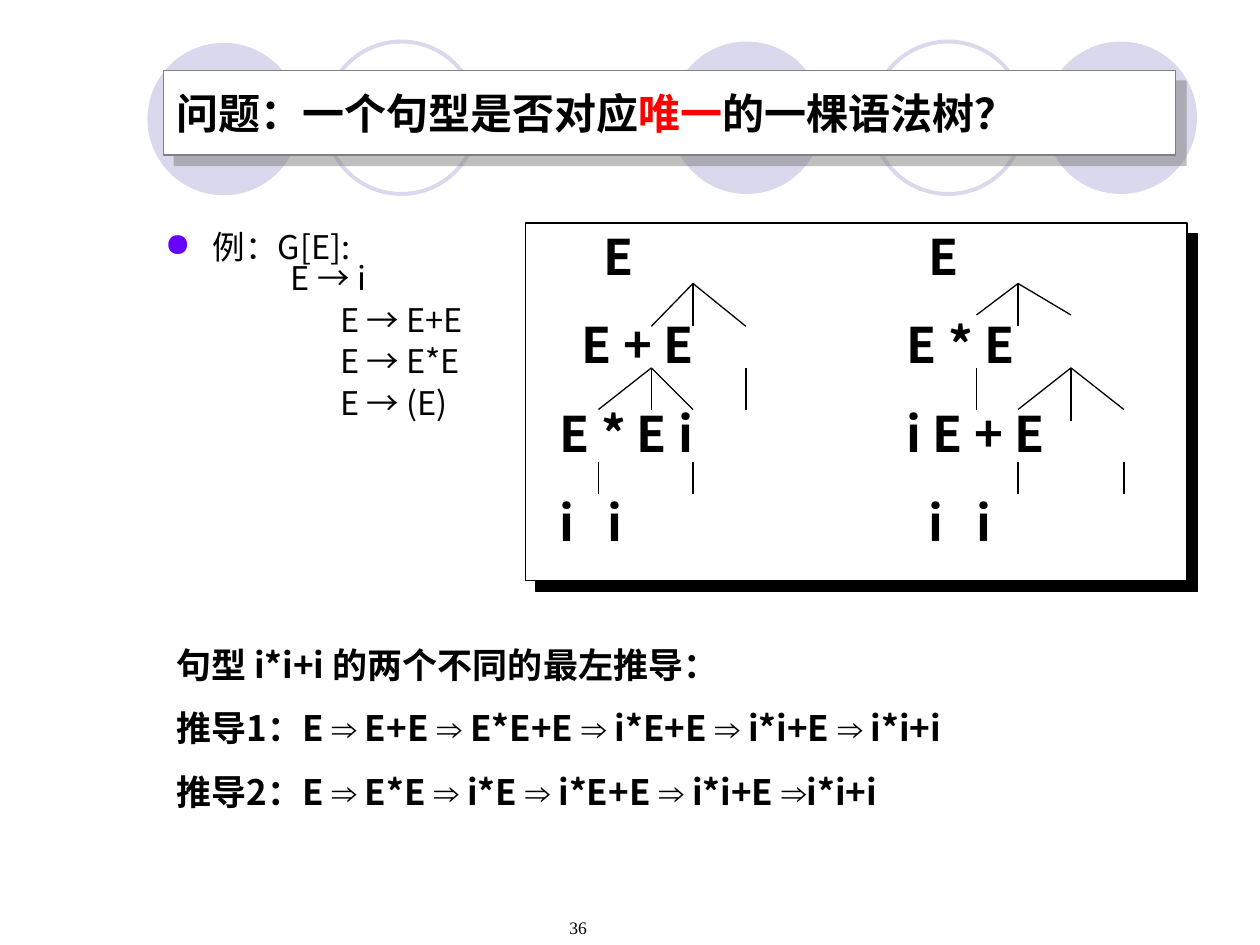
from dataclasses import dataclass

from lxml.etree import SubElement
from pptx import Presentation
from pptx.dml.color import RGBColor
from pptx.enum.shapes import MSO_CONNECTOR as Connector, MSO_SHAPE as Shape
from pptx.enum.text import MSO_ANCHOR as Anchor, PP_ALIGN as Align
from pptx.oxml.ns import qn
from pptx.util import Inches, Pt

SANS = "Noto Sans CJK SC"
BLACK, WHITE, LILAC = "000000", "FFFFFF", "D9D8EC"
LINE_RATIO = 1.19  # line height per point of text size
SPACE = 0.0875  # one indent step inside the trees


@dataclass
class Fork:
    """A tree node with branches down to (x, y) ends."""
    x: float
    y: float
    ends: list[tuple[float, float]]


@dataclass
class Row:
    """One line of a tree: its symbols and the indent steps before them."""
    steps: int
    symbols: str


@dataclass
class Tree:
    left: float
    rows: list[Row]
    forks: list[Fork]


def color(value: str) -> RGBColor:
    return RGBColor.from_string(value)


def style(span, size: float, value: str = BLACK, bold: bool = False, face: str = SANS) -> None:
    span.font.size, span.font.bold, span.font.name = Pt(size), bold, face
    span.font.color.rgb = color(value)
    SubElement(span.font._element, qn("a:ea")).set("typeface", face)


def add_spans(para, parts: list[tuple[str, str, str]], size: float) -> None:
    """Add bold spans given as (text, colour, font)."""
    for text, value, face in parts:
        span = para.add_run()
        span.text = text
        style(span, size, value, True, face)


def space(para, size: float, before: float, ratio: float = LINE_RATIO) -> None:
    para.line_spacing = Pt(round(size * ratio, 1))
    para.space_before = Pt(before)


def set_tabs(para, stops: list[float]) -> None:
    tabs = SubElement(para._p.get_or_add_pPr(), qn("a:tabLst"))
    for stop in stops:
        tab = SubElement(tabs, qn("a:tab"))
        tab.set("pos", str(Inches(stop)))
        tab.set("algn", "l")


def place(shape, left: float, top: float, width: float, height: float) -> None:
    shape.left, shape.top = Inches(left), Inches(top)
    shape.width, shape.height = Inches(width), Inches(height)


def add_box(page, left: float, top: float, width: float, height: float):
    box = page.shapes.add_textbox(Inches(left), Inches(top), Inches(width), Inches(height))
    box.text_frame.word_wrap = True
    return box.text_frame


def next_para(frame, index: int):
    return frame.add_paragraph() if index else frame.paragraphs[0]


def make_panel(shape, outline: str, shadow: str, opacity: int) -> None:
    """White rectangle with a hard offset shadow."""
    shape.fill.solid()
    shape.fill.fore_color.rgb = color(WHITE)
    shape.line.color.rgb = color(outline)
    shape.line.width = Pt(0.75)
    shape.shadow.inherit = False
    effects = shape._element.spPr.find(qn("a:effectLst"))
    outer = SubElement(effects, qn("a:outerShdw"), blurRad="0", dist=str(Pt(8.5)),
                       dir=str(45 * 60000), algn="ctr", rotWithShape="0")
    tint = SubElement(outer, qn("a:srgbClr"), val=shadow)
    SubElement(tint, qn("a:alpha"), val=str(opacity * 1000))


def add_circle(page, left: float, top: float, filled: bool) -> None:
    circle = page.shapes.add_shape(Shape.OVAL, Inches(left), Inches(top), Inches(1.21), Inches(1.21))
    circle.shadow.inherit = False
    if filled:
        circle.fill.solid()
        circle.fill.fore_color.rgb = color(LILAC)
        circle.line.fill.background()
    else:
        circle.fill.background()
        circle.line.color.rgb = color(LILAC)
        circle.line.width = Pt(2.25)


def add_branch(page, x: float, y: float, end_x: float, end_y: float) -> None:
    branch = page.shapes.add_connector(
        Connector.STRAIGHT, Inches(x), Inches(y), Inches(end_x), Inches(end_y))
    branch.line.color.rgb = color(BLACK)
    branch.line.width = Pt(0.75)
    SubElement(branch._element.spPr, qn("a:effectLst"))


def add_tree(page, tree: Tree) -> None:
    frame = add_box(page, tree.left, 1.75, 2.5, 2.7)
    for index, row in enumerate(tree.rows):
        para = next_para(frame, index)
        para.text = "\t" + row.symbols
        space(para, 28, 17.5 if index else 0)
        start = row.steps * SPACE
        set_tabs(para, [start, start + 0.38])
        style(para.runs[0], 28, bold=True)
    for fork in tree.forks:
        for end in fork.ends:
            add_branch(page, fork.x, fork.y, *end)


def add_grammar(page) -> None:
    frame = add_box(page, 1.21, 1.82, 2.69, 2.56)
    rules = [("例：G[E]:", 0.38, 0), ("E → i", 1, 0),
             ("E → E+E", 1.39, 6), ("E → E*E", 1.39, 6), ("E → (E)", 1.39, 6)]
    for index, (text, indent, before) in enumerate(rules):
        para = next_para(frame, index)
        para.text = text
        space(para, 18.6, before, 0.8 * LINE_RATIO)
        props = para._p.get_or_add_pPr()
        props.set("marL", str(Inches(indent)))
        if index == 0:
            props.set("indent", str(-Inches(indent)))
            bullet = SubElement(props, qn("a:buClr"))
            SubElement(bullet, qn("a:srgbClr"), val="6600FF")
            SubElement(props, qn("a:buChar"), char="●")
        style(para.runs[0], 18.6)


def add_derivations(page) -> None:
    frame = add_box(page, 1.3, 5.06, 8.51, 1.45)
    lines = ["句型 i*i+i 的两个不同的最左推导：",
             "推导1：E ⇒ E+E ⇒ E*E+E ⇒ i*E+E ⇒ i*i+E ⇒ i*i+i",
             "推导2：E ⇒ E*E ⇒ i*E ⇒ i*E+E ⇒ i*i+E ⇒i*i+i"]
    for index, line in enumerate(lines):
        para = next_para(frame, index)
        space(para, 20, 12.5 if index else 0)
        first, *steps = line.split("⇒")
        parts = [(first, BLACK, SANS)]
        for step in steps:
            parts += [("⇒", BLACK, "Arial"), (step, BLACK, SANS)]
        add_spans(para, parts, 20)


TREES = [
    Tree(4.17, [Row(6, "E"), Row(4, "E + E"), Row(2, "E * E i"), Row(2, "i\ti")], [
        Fork(5.5, 2.25, [(5.5, 2.59), (5.17, 2.59), (5.92, 2.59)]),
        Fork(5.17, 2.92, [(5.17, 3.25), (4.75, 3.25), (5.5, 3.25)]),
        Fork(5.92, 2.92, [(5.92, 3.25)]),
        Fork(4.75, 3.67, [(4.75, 3.92)]),
        Fork(5.5, 3.67, [(5.5, 3.92)])]),
    Tree(6.75, [Row(6, "E"), Row(4, "E * E"), Row(4, "i E + E"), Row(6, "i\ti")], [
        Fork(8.08, 2.25, [(8.08, 2.59), (7.75, 2.5), (8.5, 2.5)]),
        Fork(7.75, 2.92, [(7.75, 3.25)]),
        Fork(8.5, 2.92, [(8.5, 3.34), (8.08, 3.25), (8.92, 3.25)]),
        Fork(8.08, 3.67, [(8.08, 3.92)]),
        Fork(8.92, 3.67, [(8.92, 3.92)])]),
]


def main() -> None:
    deck = Presentation()
    deck.slide_width, deck.slide_height = Inches(10), Inches(7.5)
    page = deck.slides.add_slide(deck.slide_layouts[5])

    # Circles behind the title
    for left, top, filled in [(5.32, 0.33, True), (8.29, 0.33, True), (1.17, 0.34, True),
                              (6.92, 0.33, False), (2.58, 0.33, False)]:
        add_circle(page, left, top, filled)

    # Title, raised above the circles
    title = page.shapes.title
    title._element.getparent().append(title._element)
    place(title, 1.3, 0.56, 8.03, 0.67)
    make_panel(title, "808080", "808080", 50)
    title.text_frame.vertical_anchor = Anchor.MIDDLE
    heading = title.text_frame.paragraphs[0]
    heading.alignment = Align.LEFT
    add_spans(heading, [("问题：一个句型是否对应", BLACK, SANS), ("唯一", "FF0000", SANS),
                        ("的一棵语法树？", BLACK, SANS)], 24)

    # Grammar and its two syntax trees
    panel = page.shapes.add_shape(Shape.RECTANGLE, Inches(4.17), Inches(1.77), Inches(5.25), Inches(2.84))
    make_panel(panel, BLACK, BLACK, 100)
    add_grammar(page)
    for tree in TREES:
        add_tree(page, tree)

    # Derivations and page number
    add_derivations(page)
    number = add_box(page, 4.42, 7.23, 1.58, 0.27)
    number.text = "36"
    style(number.paragraphs[0].runs[0], 10, face="Times New Roman")

    deck.save("out.pptx")


if __name__ == "__main__":
    main()
